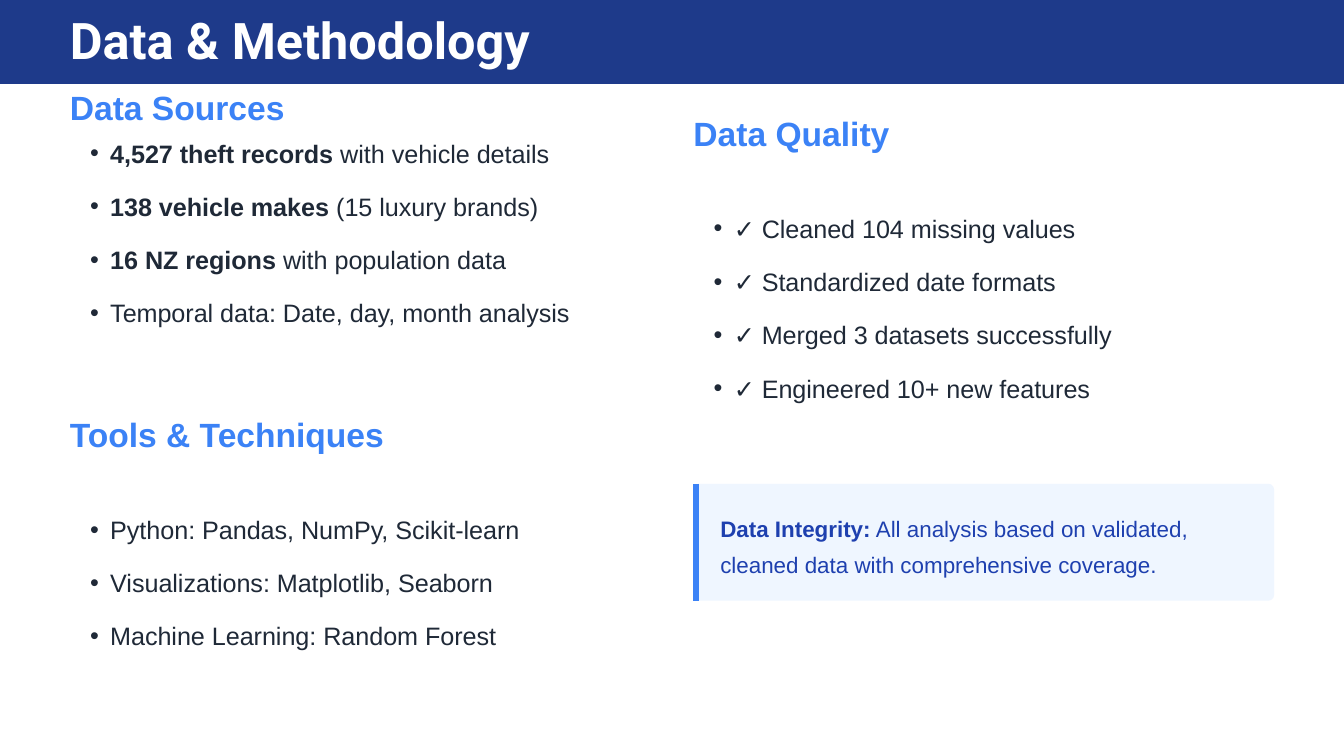
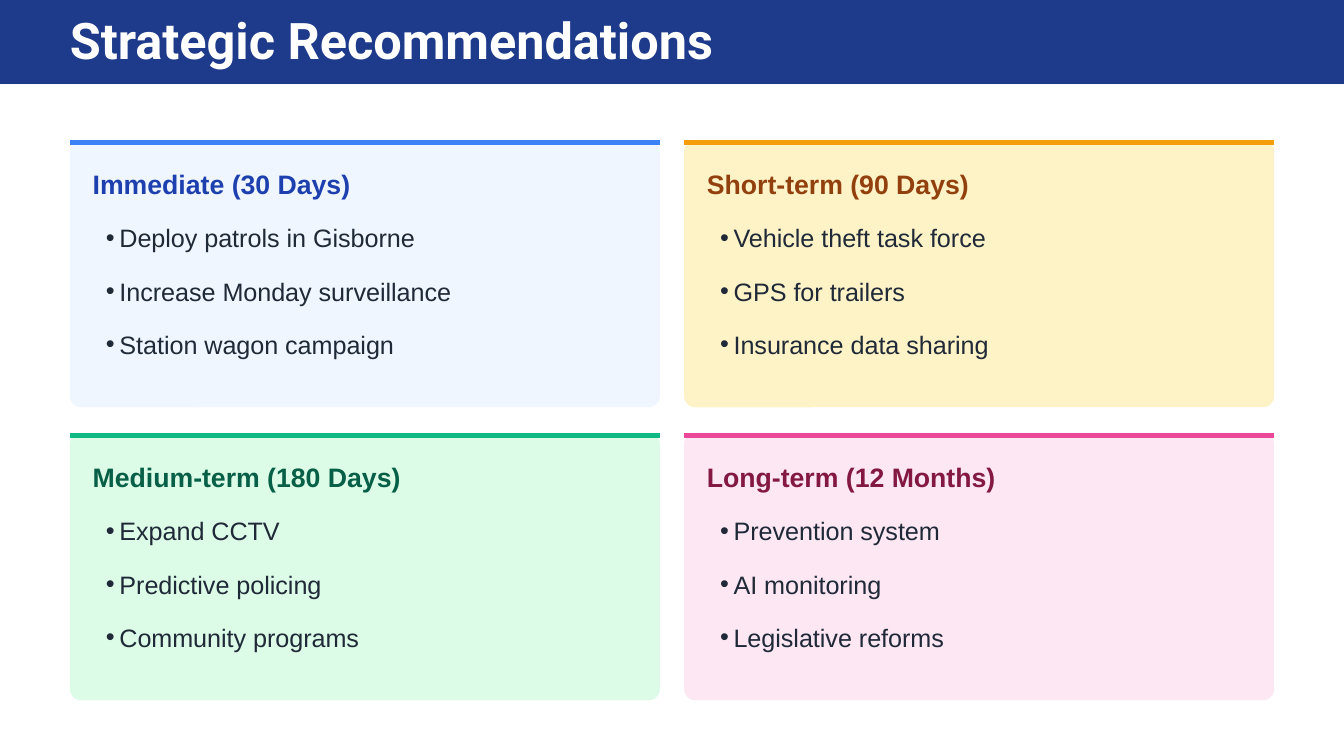
from dataclasses import dataclass
from itertools import product

from lxml.etree import SubElement
from pptx import Presentation
from pptx.dml.color import RGBColor
from pptx.enum.shapes import MSO_CONNECTOR, MSO_SHAPE
from pptx.oxml.ns import qn
from pptx.slide import Slide
from pptx.util import Inches, Pt


@dataclass(frozen=True)
class TextStyle:
    size: float
    leading: float
    color: str
    bold: bool = False
    space_after: float = 0
    font: str = "Arial"


@dataclass(frozen=True)
class Theme:
    background: str = "FFFFFF"
    band: str = "1E3A8A"
    accent: str = "3B82F6"
    pale_blue: str = "EFF6FF"
    deep_blue: str = "1E40AF"
    rule_width: float = 3
    title: TextStyle = TextStyle(27, 30, "FFFFFF", True, font="Roboto")
    heading: TextStyle = TextStyle(18, 21.6, accent, True, 15)
    body: TextStyle = TextStyle(13.5, 21, "1F2937", space_after=7.5)
    note: TextStyle = TextStyle(12, 19.2, deep_blue)

    def card_heading(self, color: str) -> TextStyle:
        return TextStyle(14.25, 17.1, color, True, 7.5)


@dataclass(frozen=True)
class Frame:
    left: float
    top: float
    width: float
    height: float


@dataclass(frozen=True)
class Item:
    """A line of text, optionally opened by a bold lead."""
    text: str
    lead: str = ""


@dataclass(frozen=True)
class Section:
    heading: str
    left: float
    top: float
    list_top: float
    items: tuple[Item, ...]


@dataclass(frozen=True)
class Card:
    heading: str
    fill: str
    rule: str
    heading_color: str
    items: tuple[Item, ...]


THEME = Theme()
SLIDE_WIDTH = 10
SLIDE_HEIGHT = SLIDE_WIDTH * 9 / 16
BAND_HEIGHT = SLIDE_HEIGHT / 9
MARGIN = 0.52
RIGHT_COLUMN = 5.16
COLUMN_WIDTH = 4.32
CARD_WIDTH, CARD_HEIGHT = 4.39, 1.99
CARD_LEFTS = (MARGIN, 5.09)
CARD_TOPS = (1.04, 3.22)
RULE_OFFSET = 0.02

SECTIONS = (
    Section("Data Sources", MARGIN, 0.65, 0.96, (
        Item(" with vehicle details", "4,527 theft records"),
        Item(" (15 luxury brands)", "138 vehicle makes"),
        Item(" with population data", "16 NZ regions"),
        Item("Temporal data: Date, day, month analysis"),
    )),
    Section("Tools & Techniques", MARGIN, 3.08, 3.76, (
        Item("Python: Pandas, NumPy, Scikit-learn"),
        Item("Visualizations: Matplotlib, Seaborn"),
        Item("Machine Learning: Random Forest"),
    )),
    Section("Data Quality", RIGHT_COLUMN, 0.84, 1.52, (
        Item("✓ Cleaned 104 missing values"),
        Item("✓ Standardized date formats"),
        Item("✓ Merged 3 datasets successfully"),
        Item("✓ Engineered 10+ new features"),
    )),
)

CARDS = (
    Card("Immediate (30 Days)", THEME.pale_blue, THEME.accent, THEME.deep_blue, (
        Item("Deploy patrols in Gisborne"),
        Item("Increase Monday surveillance"),
        Item("Station wagon campaign"),
    )),
    Card("Short-term (90 Days)", "FEF3C7", "F59E0B", "92400E", (
        Item("Vehicle theft task force"),
        Item("GPS for trailers"),
        Item("Insurance data sharing"),
    )),
    Card("Medium-term (180 Days)", "DCFCE7", "10B981", "065F46", (
        Item("Expand CCTV"),
        Item("Predictive policing"),
        Item("Community programs"),
    )),
    Card("Long-term (12 Months)", "FCE7F3", "EC4899", "831843", (
        Item("Prevention system"),
        Item("AI monitoring"),
        Item("Legislative reforms"),
    )),
)


def add_panel(page: Slide, frame: Frame, fill: str, corner: float = 0) -> None:
    """Draw a plain filled rectangle, rounded when corner is above zero."""
    kind = MSO_SHAPE.ROUNDED_RECTANGLE if corner else MSO_SHAPE.RECTANGLE
    panel = page.shapes.add_shape(kind, Inches(frame.left), Inches(frame.top),
                                  Inches(frame.width), Inches(frame.height))
    if corner:
        panel.adjustments[0] = corner
    panel.shadow.inherit = False
    panel.fill.solid()
    panel.fill.fore_color.rgb = RGBColor.from_string(fill)
    panel.line.fill.background()


def add_rule(page: Slide, left: float, top: float, right: float, bottom: float,
             color: str) -> None:
    rule = page.shapes.add_connector(MSO_CONNECTOR.STRAIGHT, Inches(left), Inches(top),
                                     Inches(right), Inches(bottom))
    rule.line.color.rgb = RGBColor.from_string(color)
    rule.line.width = Pt(THEME.rule_width)
    SubElement(rule._element.spPr, qn("a:effectLst"))


def add_text(page: Slide, frame: Frame, items: tuple[Item, ...], style: TextStyle,
             bullet_indent: float = 0) -> None:
    """Write one paragraph per item, bulleted when bullet_indent is above zero."""
    box = page.shapes.add_textbox(Inches(frame.left), Inches(frame.top),
                                  Inches(frame.width), Inches(frame.height))
    text = box.text_frame
    text.word_wrap = True
    text.margin_left = Inches(bullet_indent)
    text.margin_top = text.margin_right = text.margin_bottom = 0
    for index, item in enumerate(items):
        para = text.add_paragraph() if index else text.paragraphs[0]
        para.line_spacing = Pt(style.leading)
        para.space_after = Pt(style.space_after)
        if bullet_indent:
            properties = para._p.get_or_add_pPr()
            properties.set("marL", str(Inches(bullet_indent)))
            properties.set("indent", str(-Inches(bullet_indent)))
            SubElement(properties, qn("a:buFont"), typeface=style.font)
            SubElement(properties, qn("a:buChar"), char="•")
        for words, bold in ((item.lead, True), (item.text, style.bold)):
            if words:
                span = para.add_run()
                span.text = words
                span.font.name = style.font
                span.font.size = Pt(style.size)
                span.font.bold = bold
                span.font.color.rgb = RGBColor.from_string(style.color)


def list_height(items: tuple[Item, ...]) -> float:
    pitch = THEME.body.leading + THEME.body.space_after
    return (len(items) * pitch + THEME.body.space_after) / 72


def add_page(deck: Presentation, title: str, title_width: float) -> Slide:
    """Add a blank page with the shared background, band and title."""
    page = deck.slides.add_slide(deck.slide_layouts[6])
    page.background.fill.solid()
    page.background.fill.fore_color.rgb = RGBColor.from_string(THEME.background)
    add_panel(page, Frame(0, 0, SLIDE_WIDTH, BAND_HEIGHT), THEME.band)
    add_text(page, Frame(MARGIN, 0.1, title_width, 0.42), (Item(title),), THEME.title)
    return page


def add_section(page: Slide, section: Section) -> None:
    add_text(page, Frame(section.left, section.top, 4.41, 0.3),
             (Item(section.heading),), THEME.heading)
    add_text(page, Frame(section.left, section.list_top, COLUMN_WIDTH,
                         list_height(section.items)),
             section.items, THEME.body, bullet_indent=0.15)


def add_integrity_note(page: Slide) -> None:
    top, height = 3.6, 0.87
    add_panel(page, Frame(RIGHT_COLUMN, top, COLUMN_WIDTH, height), THEME.pale_blue, 0.048)
    rule_left = RIGHT_COLUMN + RULE_OFFSET
    add_rule(page, rule_left, top, rule_left, top + height, THEME.accent)
    note = Item(" All analysis based on validated, cleaned data with comprehensive coverage.",
                "Data Integrity:")
    add_text(page, Frame(RIGHT_COLUMN + 0.2, top + 0.17, 4.03, 0.53), (note,), THEME.note)


def add_card(page: Slide, card: Card, left: float, top: float) -> None:
    add_panel(page, Frame(left, top, CARD_WIDTH, CARD_HEIGHT), card.fill, 0.042)
    rule_top = top + RULE_OFFSET
    add_rule(page, left, rule_top, left + CARD_WIDTH, rule_top, card.rule)
    text_left = left + 0.17
    add_text(page, Frame(text_left, top + 0.21, 4.13, 0.24), (Item(card.heading),),
             THEME.card_heading(card.heading_color))
    add_text(page, Frame(text_left, top + 0.55, 4.05, list_height(card.items)),
             card.items, THEME.body, bullet_indent=0.1)


def main() -> None:
    deck = Presentation()
    deck.slide_width = Inches(SLIDE_WIDTH)
    deck.slide_height = Inches(SLIDE_HEIGHT)

    methodology = add_page(deck, "Data & Methodology", 3.7)
    for section in SECTIONS:
        add_section(methodology, section)
    add_integrity_note(methodology)

    recommendations = add_page(deck, "Strategic Recommendations", 5.17)
    for card, (top, left) in zip(CARDS, product(CARD_TOPS, CARD_LEFTS)):
        add_card(recommendations, card, left, top)

    deck.save("out.pptx")


if __name__ == "__main__":
    main()
